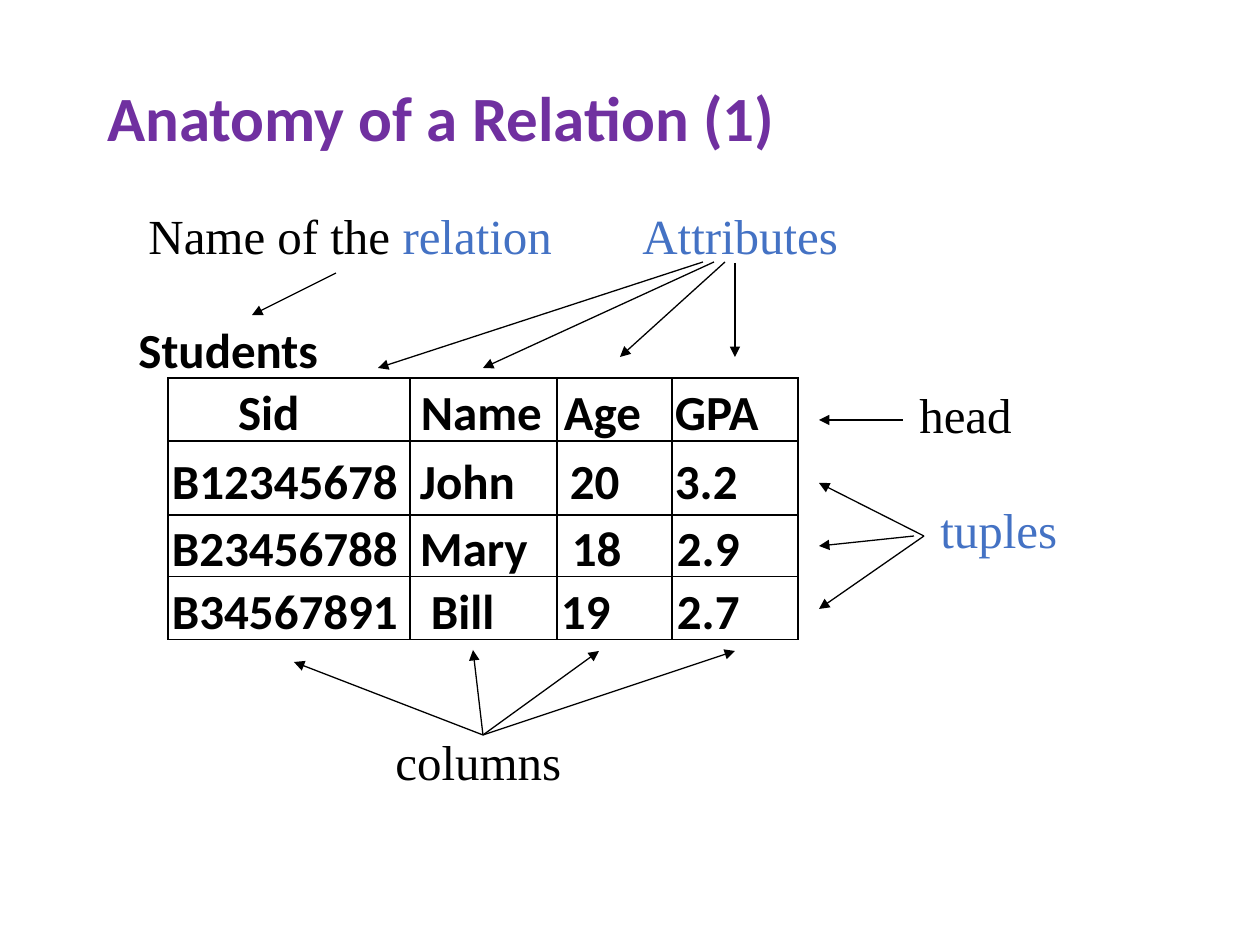
from lxml import etree
from pptx import Presentation
from pptx.dml.color import RGBColor
from pptx.enum.shapes import MSO_CONNECTOR as Connector
from pptx.enum.text import MSO_ANCHOR as Anchor
from pptx.oxml import parse_xml
from pptx.oxml.ns import nsdecls, qn
from pptx.util import Emu, Pt

COLORS = {"title": "7030A0", "ink": "000000", "accent": "4472C4"}
SERIF = "Times New Roman"
SANS = "Calibri"


def px(length):
    return Emu(round(length * 914400 / 126))


def add_label(x, y, width, height, runs, font=SERIF, size=28, bold=False):
    frame = slide.shapes.add_textbox(px(x), px(y), px(width), px(height)).text_frame
    frame.word_wrap = True
    frame.vertical_anchor = Anchor.MIDDLE
    paragraph = frame.paragraphs[0]
    paragraph.font.name = font
    paragraph.font.size = Pt(size)
    paragraph.font.bold = bold
    for text, color in runs:
        run = paragraph.add_run()
        run.text = text
        run.font.color.rgb = RGBColor.from_string(COLORS[color])


presentation = Presentation()
presentation.slide_width = px(1260)
presentation.slide_height = px(945)
slide = presentation.slides.add_slide(presentation.slide_layouts[6])

add_label(95, 69, 1071, 95, [("Anatomy of a Relation (1)", "title")], SANS, 36, True)
add_label(126, 313, 230, 72, [("Students", "ink")], SANS, 28, True)

labels = [
    (136, 199, 470, [("Name of the ", "ink"), ("relation", "accent")]),
    (630, 199, 250, [("Attributes", "accent")]),
    (907, 378, 150, [("head", "ink")]),
    (928, 493, 170, [("tuples", "accent")]),
    (383, 725, 220, [("columns", "ink")]),
]
for x, y, width, runs in labels:
    add_label(x, y, width, 72, runs)

column_widths = [242, 147, 115, 126]
row_heights = [63, 74, 62, 63]
bottom_gaps = [0, 5, 0, 0]
students = [
    [("Sid", 70), ("Name", 11), ("Age", 7), ("GPA", 3)],
    [("B12345678", 4), ("John", 10), ("20", 13), ("3.2", 3)],
    [("B23456788", 4), ("Mary", 10), ("18", 15), ("2.9", 5)],
    [("B34567891", 4), ("Bill", 21), ("19", 4), ("2.7", 5)],
]
relation = slide.shapes.add_table(
    4, 4, px(168), px(378), px(sum(column_widths)), px(sum(row_heights))
).table
relation.first_row = False
relation.horz_banding = False
for column, width in zip(relation.columns, column_widths):
    column.width = px(width)
for row, height, gap, record in zip(relation.rows, row_heights, bottom_gaps, students):
    row.height = px(height)
    for cell, (value, indent) in zip(row.cells, record):
        cell.text = value
        cell.margin_left = px(indent)
        cell.margin_right = cell.margin_top = 0
        cell.margin_bottom = px(gap)
        cell.vertical_anchor = Anchor.BOTTOM
        paragraph = cell.text_frame.paragraphs[0]
        paragraph.line_spacing = 0.9
        paragraph.font.name = SANS
        paragraph.font.size = Pt(28)
        paragraph.font.bold = True
        paragraph.font.color.rgb = RGBColor.from_string(COLORS["ink"])
        properties = cell._tc.get_or_add_tcPr()
        for side in ("lnL", "lnR", "lnT", "lnB"):
            properties.append(parse_xml(
                f'<a:{side} {nsdecls("a")} w="9525"><a:solidFill>'
                f'<a:srgbClr val="{COLORS["ink"]}"/></a:solidFill></a:{side}>'
            ))
        cell.fill.background()

arrows = [
    ((336, 273), (252, 315)),
    ((703, 262), (378, 368)),
    ((714, 262), (483, 368)),
    ((725, 262), (620, 357)),
    ((735, 263), (735, 357)),
    ((903, 420), (819, 420)),
    ((924, 536), (819, 483)),
    ((914, 536), (819, 546)),
    ((924, 536), (819, 609)),
    ((483, 735), (294, 662)),
    ((483, 735), (473, 650)),
    ((483, 735), (599, 651)),
    ((483, 735), (735, 651)),
]
for start, end in arrows:
    arrow = slide.shapes.add_connector(Connector.STRAIGHT, *map(px, start + end))
    arrow.line.width = Pt(0.75)
    arrow.line.color.rgb = RGBColor.from_string(COLORS["ink"])
    etree.SubElement(arrow.line._get_or_add_ln(), qn("a:tailEnd"), type="triangle")
    etree.SubElement(arrow._element.spPr, qn("a:effectLst"))

presentation.save("out.pptx")
